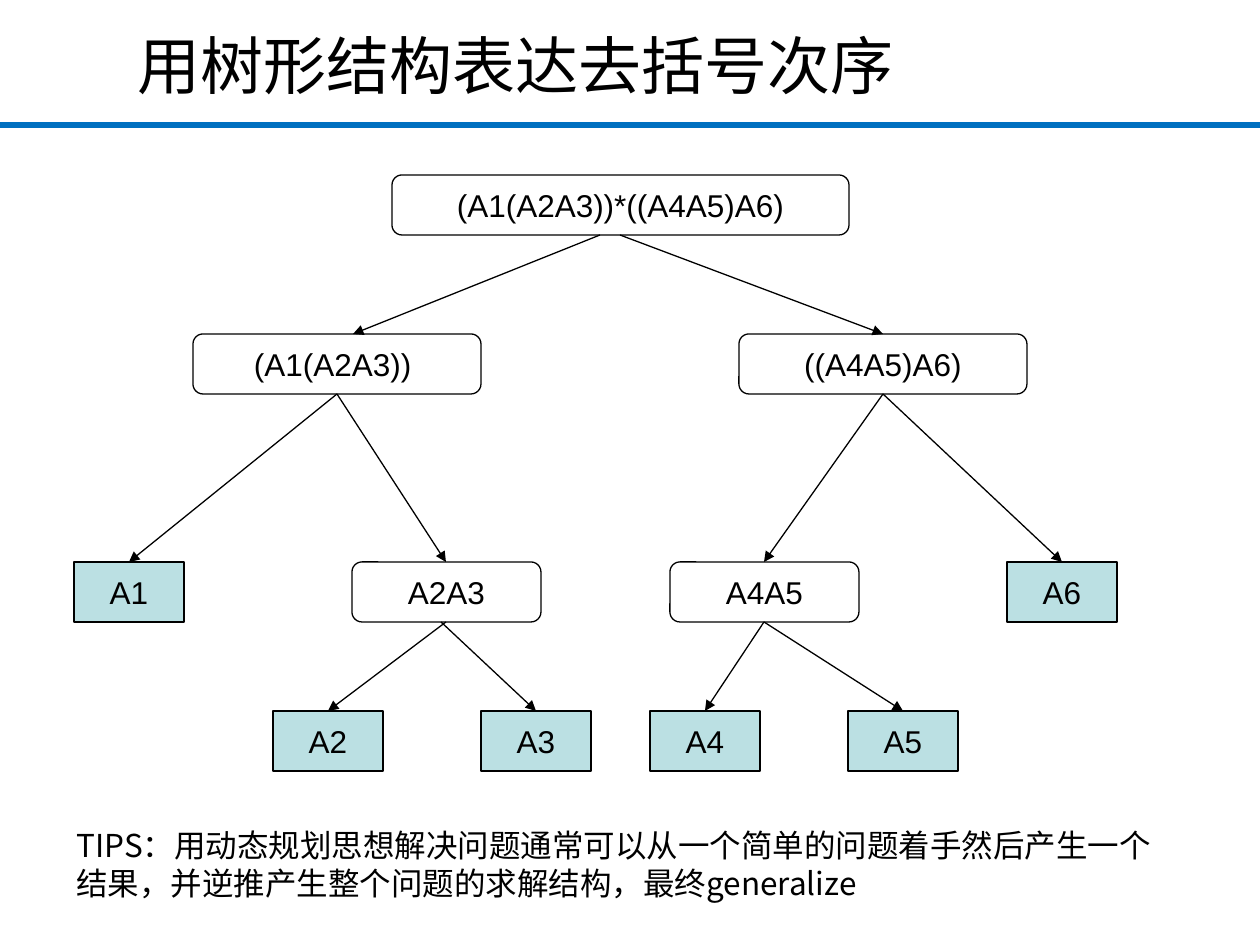
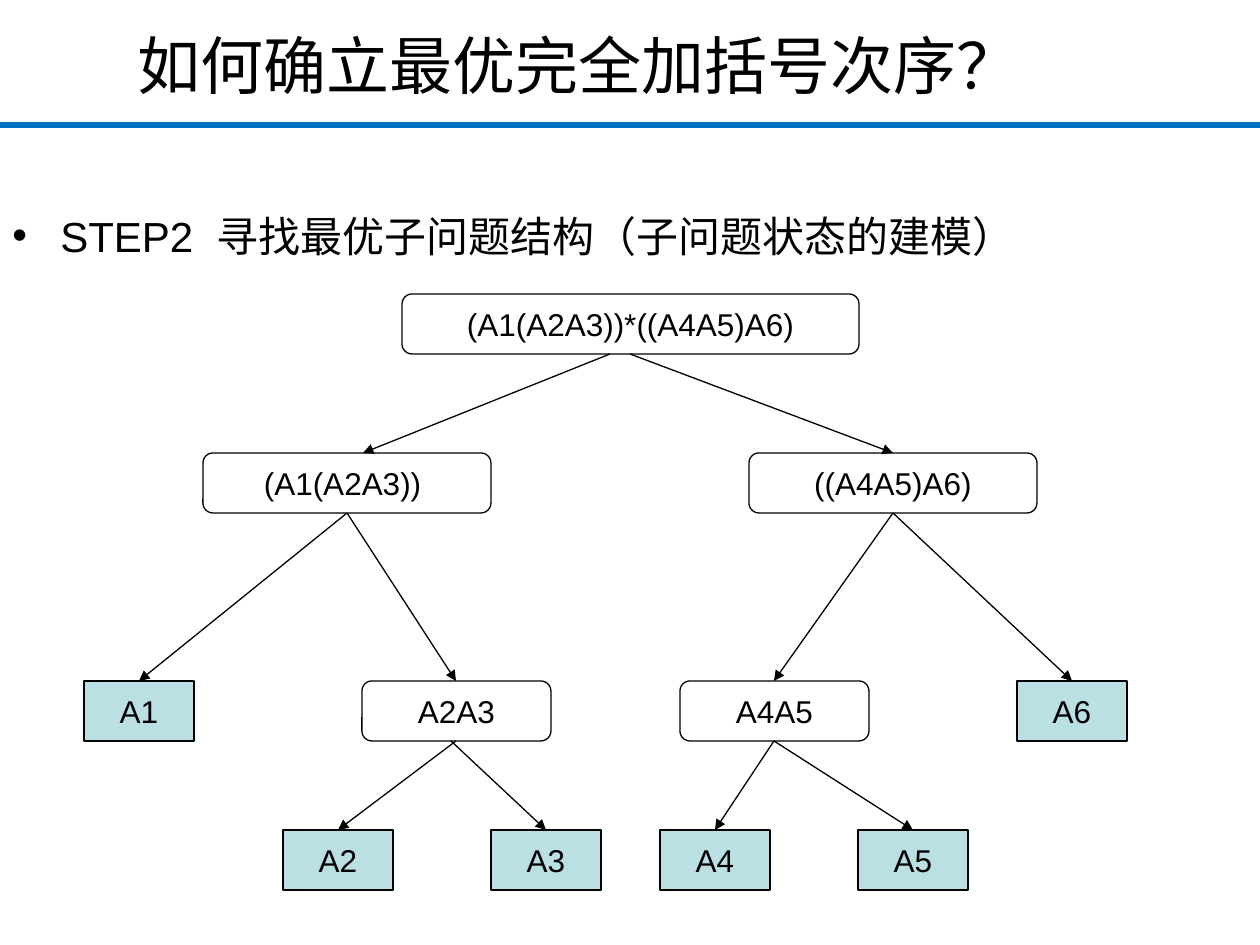
from dataclasses import dataclass
from typing import NamedTuple

from lxml import etree
from pptx import Presentation
from pptx.dml.color import RGBColor
from pptx.enum.shapes import MSO_CONNECTOR, MSO_SHAPE
from pptx.enum.text import MSO_ANCHOR, MSO_AUTO_SIZE, PP_ALIGN
from pptx.oxml.ns import qn
from pptx.presentation import Presentation as Deck
from pptx.shapes.connector import Connector
from pptx.slide import Slide
from pptx.text.text import TextFrame, _Paragraph
from pptx.util import Emu, Pt

STRAIGHT = MSO_CONNECTOR.STRAIGHT
RECTANGLE, ROUNDED = MSO_SHAPE.RECTANGLE, MSO_SHAPE.ROUNDED_RECTANGLE
TOP, MIDDLE, BOTTOM = MSO_ANCHOR.TOP, MSO_ANCHOR.MIDDLE, MSO_ANCHOR.BOTTOM
LEFT, CENTER = PP_ALIGN.LEFT, PP_ALIGN.CENTER
FIXED_SIZE = MSO_AUTO_SIZE.NONE
PX_PER_INCH = 126
TITLE_ONLY = 5


@dataclass(frozen=True)
class Theme:
    ink: RGBColor = RGBColor(0x00, 0x00, 0x00)
    paper: RGBColor = RGBColor(0xFF, 0xFF, 0xFF)
    rule: RGBColor = RGBColor(0x00, 0x70, 0xC0)
    leaf: RGBColor = RGBColor(0xBB, 0xE0, 0xE3)
    latin: str = "Arial"
    chinese: str = "Noto Sans CJK SC"
    title_size: int = 36
    step_size: int = 24
    text_size: int = 18
    rule_width: float = 3
    line_width: float = 0.75


THEME = Theme()


class Area(NamedTuple):
    left: int
    top: int
    width: int
    height: int


class Node(NamedTuple):
    label: str
    left: int
    level: int
    width: int
    is_leaf: bool = False

    @property
    def center(self) -> int:
        return self.left + self.width // 2


class Edge(NamedTuple):
    """A link between nodes; the shifts move its ends off the box centres."""
    parent: str
    child: str
    start_shift: int = 0
    end_shift: int = 0


SLIDE_WIDTH, SLIDE_HEIGHT = 1260, 945
RULE_TOP = 125
TITLE_AREA = Area(125, 20, 984, 88)
TIPS_AREA = Area(64, 820, 1129, 88)
STEP_AREA = Area(0, 204, 1134, 640)
STEP_INDENT = 48

LEVEL_TOPS = (0, 159, 387, 536)
NODE_HEIGHT = 60
LEAF_WIDTH, PAIR_WIDTH, HALF_WIDTH, ROOT_WIDTH = 110, 189, 288, 457

ROOT, LEFT_HALF, RIGHT_HALF = "(A1(A2A3))*((A4A5)A6)", "(A1(A2A3)) ", "((A4A5)A6)"
NODES = (
    Node(ROOT, 392, 0, ROOT_WIDTH),
    Node(LEFT_HALF, 193, 1, HALF_WIDTH),
    Node(RIGHT_HALF, 739, 1, HALF_WIDTH),
    Node("A1", 74, 2, LEAF_WIDTH, True),
    Node("A2A3", 352, 2, PAIR_WIDTH),
    Node("A4A5", 670, 2, PAIR_WIDTH),
    Node("A6", 1007, 2, LEAF_WIDTH, True),
    Node("A2", 273, 3, LEAF_WIDTH, True),
    Node("A3", 481, 3, LEAF_WIDTH, True),
    Node("A4", 650, 3, LEAF_WIDTH, True),
    Node("A5", 848, 3, LEAF_WIDTH, True),
)
EDGES = (
    Edge(ROOT, LEFT_HALF, -20, 16),
    Edge(ROOT, RIGHT_HALF),
    Edge(LEFT_HALF, "A1"),
    Edge(LEFT_HALF, "A2A3"),
    Edge(RIGHT_HALF, "A4A5"),
    Edge(RIGHT_HALF, "A6"),
    Edge("A2A3", "A2"),
    Edge("A2A3", "A3", -5),
    Edge("A4A5", "A4"),
    Edge("A4A5", "A5"),
)


def px(length: int) -> Emu:
    return Emu(round(length * 914400 / PX_PER_INCH))


def add_span(para: _Paragraph, text: str, size: int, latin: str = THEME.latin) -> None:
    span = para.add_run()
    span.text = text
    span.font.size = Pt(size)
    span.font.color.rgb = THEME.ink
    span.font.name = latin
    east_asian = etree.SubElement(span.font._element, qn("a:ea"))
    east_asian.set("typeface", THEME.chinese)


def add_text_area(page: Slide, area: Area) -> TextFrame:
    box = page.shapes.add_textbox(*map(px, area))
    frame = box.text_frame
    frame.word_wrap = True
    frame.vertical_anchor = TOP
    return frame


def add_line(page: Slide, start: tuple[int, int], end: tuple[int, int],
             color: RGBColor, width: float) -> Connector:
    line = page.shapes.add_connector(STRAIGHT, *map(px, start + end))
    line.line.color.rgb = color
    line.line.width = Pt(width)
    etree.SubElement(line._element.spPr, qn("a:effectLst"))
    return line


def add_titled_page(deck: Deck, text: str) -> Slide:
    page = deck.slides.add_slide(deck.slide_layouts[TITLE_ONLY])
    add_line(page, (0, RULE_TOP), (SLIDE_WIDTH, RULE_TOP), THEME.rule, THEME.rule_width)
    title = page.shapes.title
    title.left, title.top, title.width, title.height = map(px, TITLE_AREA)
    frame = title.text_frame
    frame.auto_size = FIXED_SIZE
    frame.vertical_anchor = BOTTOM
    para = frame.paragraphs[0]
    para.alignment = LEFT
    add_span(para, text, THEME.title_size)
    return page


def draw_node(page: Slide, node: Node, left: int, top: int) -> None:
    area = Area(left + node.left, top + LEVEL_TOPS[node.level], node.width, NODE_HEIGHT)
    box = page.shapes.add_shape(RECTANGLE if node.is_leaf else ROUNDED, *map(px, area))
    box.shadow.inherit = False
    box.fill.solid()
    box.fill.fore_color.rgb = THEME.leaf if node.is_leaf else THEME.paper
    box.line.color.rgb = THEME.ink
    box.line.width = Pt(THEME.line_width)
    frame = box.text_frame
    frame.word_wrap = False
    frame.vertical_anchor = MIDDLE
    para = frame.paragraphs[0]
    para.alignment = CENTER
    add_span(para, node.label, THEME.text_size)


def draw_edge(page: Slide, edge: Edge, left: int, top: int) -> None:
    nodes = {node.label: node for node in NODES}
    parent, child = nodes[edge.parent], nodes[edge.child]
    start = (left + parent.center + edge.start_shift,
             top + LEVEL_TOPS[parent.level] + NODE_HEIGHT)
    end = (left + child.center + edge.end_shift, top + LEVEL_TOPS[child.level])
    arrow = add_line(page, start, end, THEME.ink, THEME.line_width)
    tip = etree.SubElement(arrow.line._get_or_add_ln(), qn("a:tailEnd"))
    tip.set("type", "triangle")


def draw_tree(page: Slide, left: int, top: int) -> None:
    for node in NODES:
        draw_node(page, node, left, top)
    for edge in EDGES:
        draw_edge(page, edge, left, top)


def add_step(page: Slide, text: str) -> None:
    para = add_text_area(page, STEP_AREA).paragraphs[0]
    para.space_before = Pt(6)
    properties = para._p.get_or_add_pPr()
    properties.set("marL", str(px(STEP_INDENT)))
    properties.set("indent", str(px(-STEP_INDENT)))
    etree.SubElement(properties, qn("a:buFont")).set("typeface", THEME.latin)
    etree.SubElement(properties, qn("a:buChar")).set("char", "•")
    add_span(para, text, THEME.step_size)


def build_tree_page(deck: Deck) -> None:
    page = add_titled_page(deck, "用树形结构表达去括号次序")
    draw_tree(page, 0, 175)
    tips = add_text_area(page, TIPS_AREA).paragraphs[0]
    add_span(tips, "TIPS：用动态规划思想解决问题通常可以从一个简单的问题着手然后产生一个结果，"
                   "并逆推产生整个问题的求解结构，最终generalize",
             THEME.text_size, THEME.chinese)


def build_step_page(deck: Deck) -> None:
    page = add_titled_page(deck, "如何确立最优完全加括号次序？")
    add_step(page, "STEP2  寻找最优子问题结构（子问题状态的建模）")
    draw_tree(page, 10, 294)


def main() -> None:
    deck = Presentation()
    deck.slide_width, deck.slide_height = px(SLIDE_WIDTH), px(SLIDE_HEIGHT)
    build_tree_page(deck)
    build_step_page(deck)
    deck.save("out.pptx")


if __name__ == "__main__":
    main()
